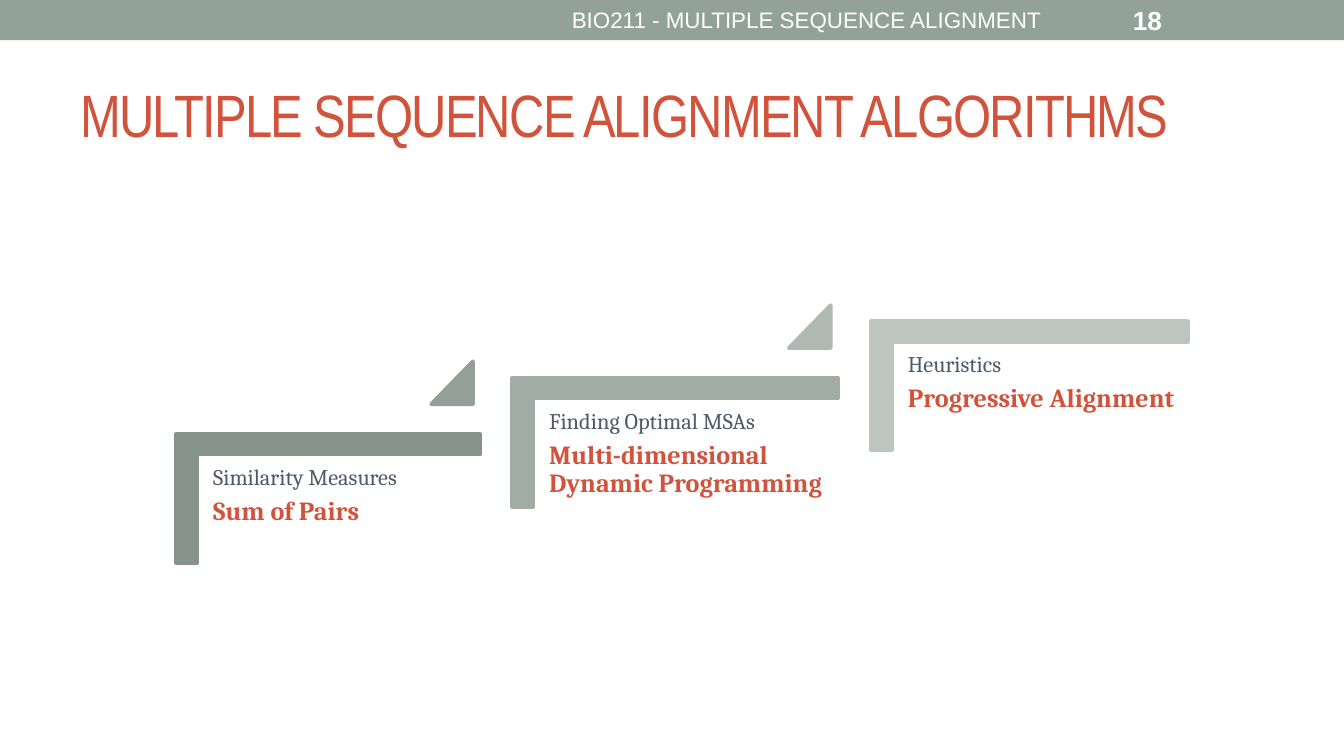
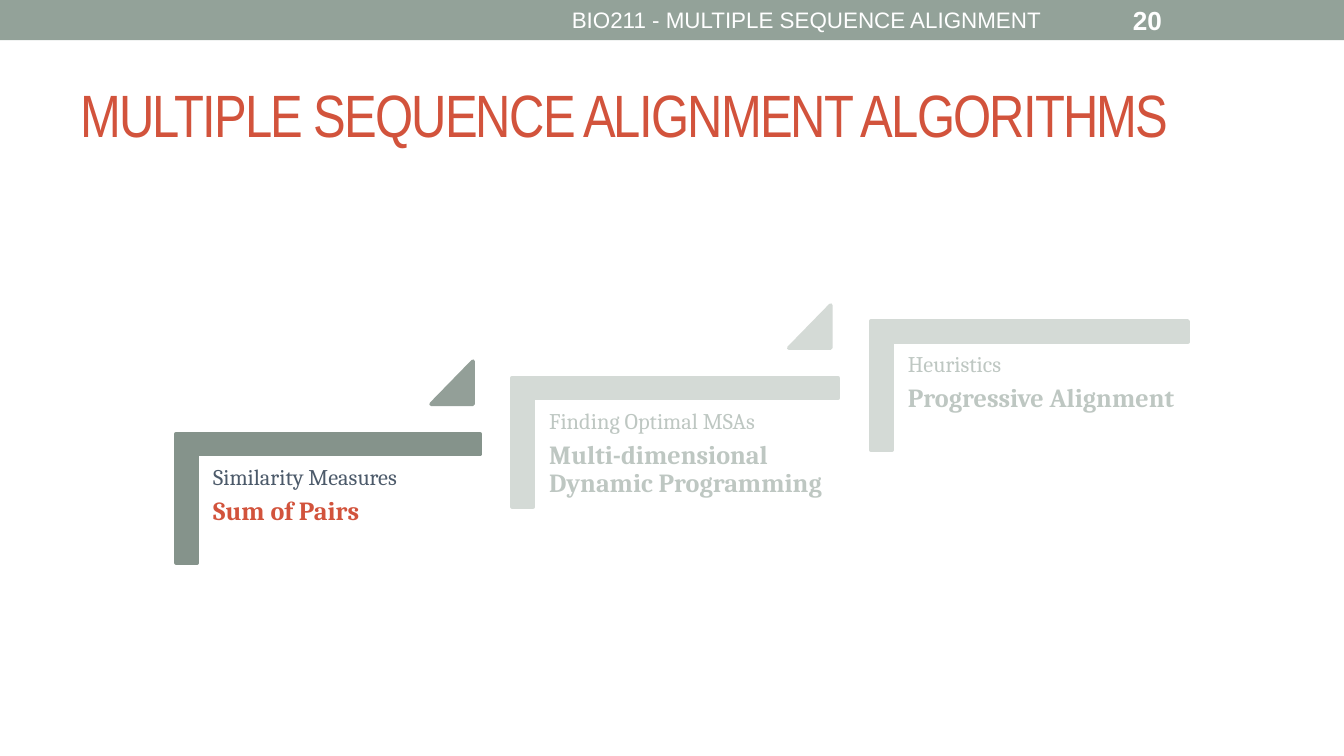
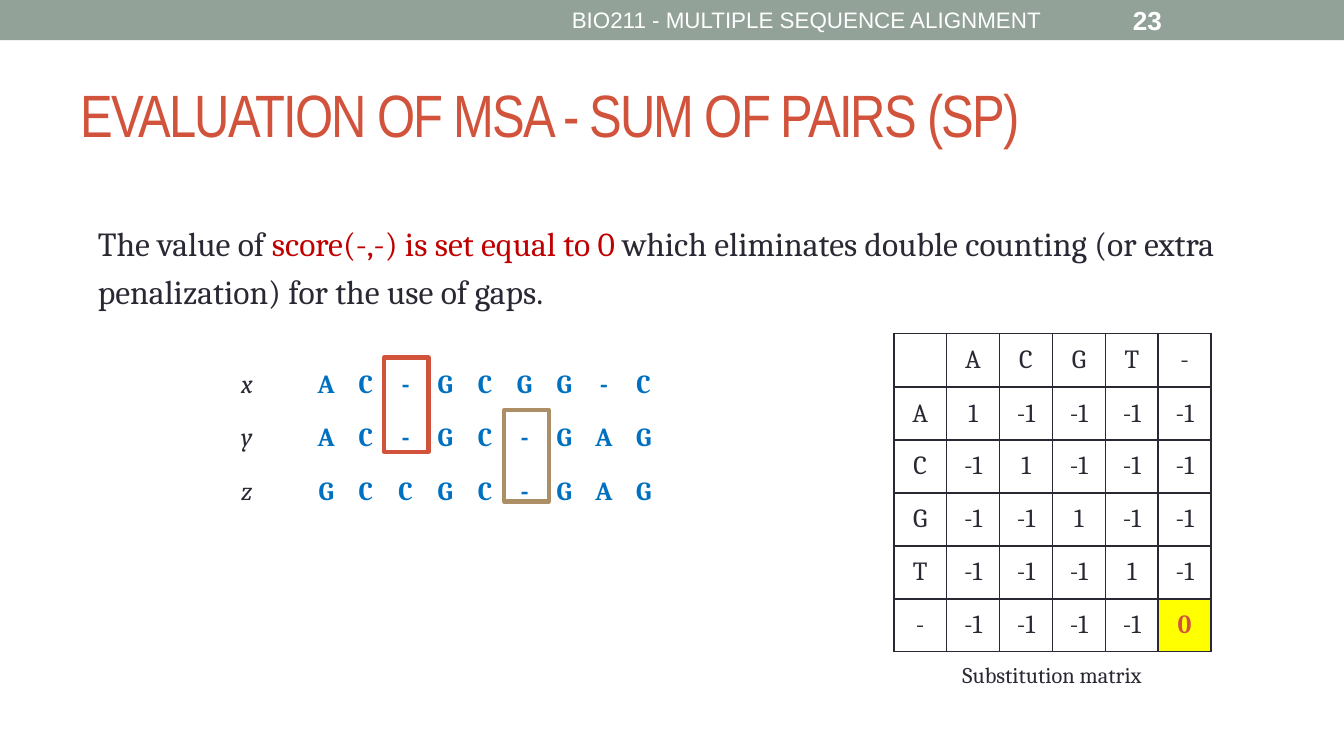
from dataclasses import dataclass

from lxml.etree import SubElement
from pptx import Presentation
from pptx.dml.color import RGBColor
from pptx.enum.shapes import MSO_SHAPE
from pptx.enum.text import MSO_ANCHOR, PP_ALIGN
from pptx.oxml.ns import qn
from pptx.util import Cm, Pt

BAND = "93A299"
ACCENT = "D2533C"
TAN = "AD8F67"
INK = "292934"
LABEL = "4C5A6A"
SEQUENCE_BLUE = "0070C0"
EMPHASIS_RED = "C00000"
HIGHLIGHT = "FFFF00"
WHITE = "FFFFFF"
DIM_SHAPE = "D4DAD6"
DIM_TEXT = "BEC7C2"
BODY_FONT = "Cambria"
NO_STYLE_TABLE = "{2D5ABB26-0587-4C30-8999-92F81FD0307C}"

COURSE = "BIO211 - MULTIPLE SEQUENCE ALIGNMENT"
BRACKET_HEIGHT = 2.44
BRACKET_THICKNESS = 0.161


@dataclass
class Step:
    topic: str
    method: str
    left: float
    top: float
    width: float
    bracket_color: str
    arrow_color: str = ""


STEPS = [
    Step("Similarity Measures", "Sum of Pairs", 3.33, 8.2, 5.74, "85938B", "939F98"),
    Step("Finding Optimal MSAs", "Multi-dimensional Dynamic Programming",
         9.68, 7.14, 6.15, "A1ACA5", "AFB8B3"),
    Step("Heuristics", "Progressive Alignment", 16.46, 6.07, 5.99, "BDC5C0"),
]
SEQUENCES = {"x": "AC-GCGG-C", "y": "AC-GC-GAG", "z": "GCCGC-GAG"}
SYMBOLS = "ACGT-"


def rgb(color):
    return RGBColor.from_string(color)


def write_run(paragraph, text, *, size, color=INK, font=BODY_FONT,
              bold=False, italic=False, spacing=None):
    run = paragraph.add_run()
    run.text = text
    run.font.size = Pt(size)
    run.font.name = font
    run.font.bold = bold
    run.font.italic = italic
    run.font.color.rgb = rgb(color)
    if spacing is not None:
        run.font._element.set("spc", str(spacing * 100))


def add_text_frame(slide, left, top, width, height, anchor=MSO_ANCHOR.TOP):
    box = slide.shapes.add_textbox(Cm(left), Cm(top), Cm(width), Cm(height))
    box.text_frame.word_wrap = True
    box.text_frame.vertical_anchor = anchor
    return box.text_frame


def add_line_of_text(slide, frame, text, align=PP_ALIGN.LEFT,
                     anchor=MSO_ANCHOR.MIDDLE, **text_format):
    paragraph = add_text_frame(slide, *frame, anchor=anchor).paragraphs[0]
    paragraph.alignment = align
    write_run(paragraph, text, **text_format)


def add_plain_shape(slide, kind, left, top, width, height,
                    fill=None, line=None, line_width=2.08):
    shape = slide.shapes.add_shape(kind, Cm(left), Cm(top), Cm(width), Cm(height))
    shape.shadow.inherit = False
    if fill:
        shape.fill.solid()
        shape.fill.fore_color.rgb = rgb(fill)
    else:
        shape.fill.background()
    if line:
        shape.line.color.rgb = rgb(line)
        shape.line.width = Pt(line_width)
    else:
        shape.line.fill.background()
    return shape


def add_base_slide(presentation, title, number):
    """Add a slide with the top band, course name, number and title."""
    slide = presentation.slides.add_slide(presentation.slide_layouts[6])
    add_plain_shape(slide, MSO_SHAPE.RECTANGLE, 0, 0, 25.4, 0.76, fill=BAND)
    add_line_of_text(slide, (1.27, 1.12, 22.86, 2.06), title,
                     size=32, color=ACCENT, font="Arial Narrow", spacing=-1)
    add_line_of_text(slide, (9.53, 0.03, 11.43, 0.69), COURSE, PP_ALIGN.CENTER,
                     size=12, color=WHITE, font="Arial")
    add_line_of_text(slide, (21.16, 0.03, 2.97, 0.69), str(number),
                     size=14, color=WHITE, font="Arial", bold=True)
    return slide


def add_bracket(slide, step, color):
    """Draw a corner turned by 90 degrees so that it covers the step's box."""
    center_x = step.left + step.width / 2
    center_y = step.top + BRACKET_HEIGHT / 2
    bracket = add_plain_shape(
        slide, MSO_SHAPE.CORNER,
        center_x - BRACKET_HEIGHT / 2, center_y - step.width / 2,
        BRACKET_HEIGHT, step.width, fill=color, line=color)
    bracket.rotation = 90
    bracket.adjustments[0] = BRACKET_THICKNESS
    bracket.adjustments[1] = BRACKET_THICKNESS


def add_step(slide, step, dimmed):
    add_bracket(slide, step, DIM_SHAPE if dimmed else step.bracket_color)

    frame = add_text_frame(slide, step.left + 0.57, step.top + 0.48,
                           step.width - 0.46, 3.71)
    frame.margin_left = frame.margin_right = Cm(0.13)
    frame.margin_top = frame.margin_bottom = Cm(0.13)
    lines = [(step.topic, 12, LABEL, False), (step.method, 14, ACCENT, True)]
    for index, (text, size, color, bold) in enumerate(lines):
        paragraph = frame.add_paragraph() if index else frame.paragraphs[0]
        paragraph.line_spacing = 0.9
        paragraph.space_after = Pt(0.35 * size)
        write_run(paragraph, text, size=size, bold=bold,
                  color=DIM_TEXT if dimmed else color)

    if step.arrow_color:
        color = DIM_SHAPE if dimmed else step.arrow_color
        arrow = add_plain_shape(
            slide, MSO_SHAPE.ISOSCELES_TRIANGLE,
            step.left + step.width - 0.92, step.top - 1.37, 0.79, 0.81,
            fill=color, line=color)
        arrow.adjustments[0] = 1


def add_algorithms_slide(presentation, number, active_topics):
    slide = add_base_slide(presentation, "MULTIPLE SEQUENCE ALIGNMENT ALGORITHMS", number)
    for step in STEPS:
        add_step(slide, step, dimmed=step.topic not in active_topics)


def add_plain_table(slide, left, top, column_width, row_height, row_count, column_count):
    frame = slide.shapes.add_table(
        row_count, column_count, Cm(left), Cm(top),
        Cm(column_width * column_count), Cm(row_height * row_count))
    table = frame.table
    table.first_row = table.horz_banding = False
    table._tbl.tblPr.find(qn("a:tableStyleId")).text = NO_STYLE_TABLE
    for column in table.columns:
        column.width = Cm(column_width)
    for row in table.rows:
        row.height = Cm(row_height)
    return table


def set_borders(cell, color, width):
    properties = cell._tc.get_or_add_tcPr()
    for side in ("a:lnL", "a:lnR", "a:lnT", "a:lnB"):
        line = SubElement(properties, qn(side), w=str(Pt(width)))
        fill = SubElement(line, qn("a:solidFill"))
        SubElement(fill, qn("a:srgbClr"), val=color)


def fill_cell(cell, text, space_before=0, fill=None, **text_format):
    cell.margin_left = cell.margin_right = 0
    cell.vertical_anchor = MSO_ANCHOR.MIDDLE
    if fill:
        cell.fill.solid()
        cell.fill.fore_color.rgb = rgb(fill)
    else:
        cell.fill.background()
    paragraph = cell.text_frame.paragraphs[0]
    paragraph.alignment = PP_ALIGN.CENTER
    paragraph.space_before = Pt(space_before)
    if text:
        write_run(paragraph, text, size=14, **text_format)


def add_alignment(slide):
    table = add_plain_table(slide, 4.29, 6.76, 0.75, 0.9, len(SEQUENCES), 11)
    for row, (name, sequence) in enumerate(SEQUENCES.items()):
        fill_cell(table.cell(row, 0), name, italic=True)
        fill_cell(table.cell(row, 1), "")
        for column, letter in enumerate(sequence, start=2):
            fill_cell(table.cell(row, column), letter, color=SEQUENCE_BLUE, bold=True)
    for left, top, height, color in [(7.26, 6.76, 1.78, ACCENT), (9.53, 7.75, 1.73, TAN)]:
        add_plain_shape(slide, MSO_SHAPE.RECTANGLE, left, top, 0.84, height,
                        line=color, line_width=2.25)


def matrix_value(first, second):
    if first != second:
        return "-1"
    return "0" if first == "-" else "1"


def add_substitution_matrix(slide):
    rows = [["", *SYMBOLS]]
    rows += [[first, *(matrix_value(first, second) for second in SYMBOLS)]
             for first in SYMBOLS]
    table = add_plain_table(slide, 16.89, 6.3, 1.0, 1.0, len(rows), len(rows))
    for row, values in enumerate(rows):
        for column, value in enumerate(values):
            cell = table.cell(row, column)
            set_borders(cell, INK, 1)
            emphasis = {"fill": HIGHLIGHT, "color": ACCENT, "bold": True} if value == "0" else {}
            fill_cell(cell, value, space_before=2.8, **emphasis)
    add_line_of_text(slide, (16.99, 12.37, 5.79, 0.76), "Substitution matrix",
                     PP_ALIGN.CENTER, MSO_ANCHOR.TOP, size=12)


def add_sum_of_pairs_slide(presentation, number):
    slide = add_base_slide(presentation, "EVALUATION OF MSA - SUM OF PAIRS (SP)", number)
    paragraph = add_text_frame(slide, 1.6, 3.94, 22.2, 2.39).paragraphs[0]
    paragraph.line_spacing = 1.2
    paragraph.space_before = Pt(3.6)
    paragraph.space_after = Pt(6)
    write_run(paragraph, "The value of ", size=18)
    write_run(paragraph, "score(-,-) is set equal to 0 ", size=18, color=EMPHASIS_RED)
    write_run(paragraph, "which eliminates double counting (or extra penalization) "
              "for the use of gaps.", size=18)
    add_alignment(slide)
    add_substitution_matrix(slide)


def main():
    presentation = Presentation()
    presentation.slide_width = Cm(25.4)
    presentation.slide_height = Cm(14.29)
    add_algorithms_slide(presentation, 18, [step.topic for step in STEPS])
    add_algorithms_slide(presentation, 20, ["Similarity Measures"])
    add_sum_of_pairs_slide(presentation, 23)
    presentation.save("out.pptx")


if __name__ == "__main__":
    main()
